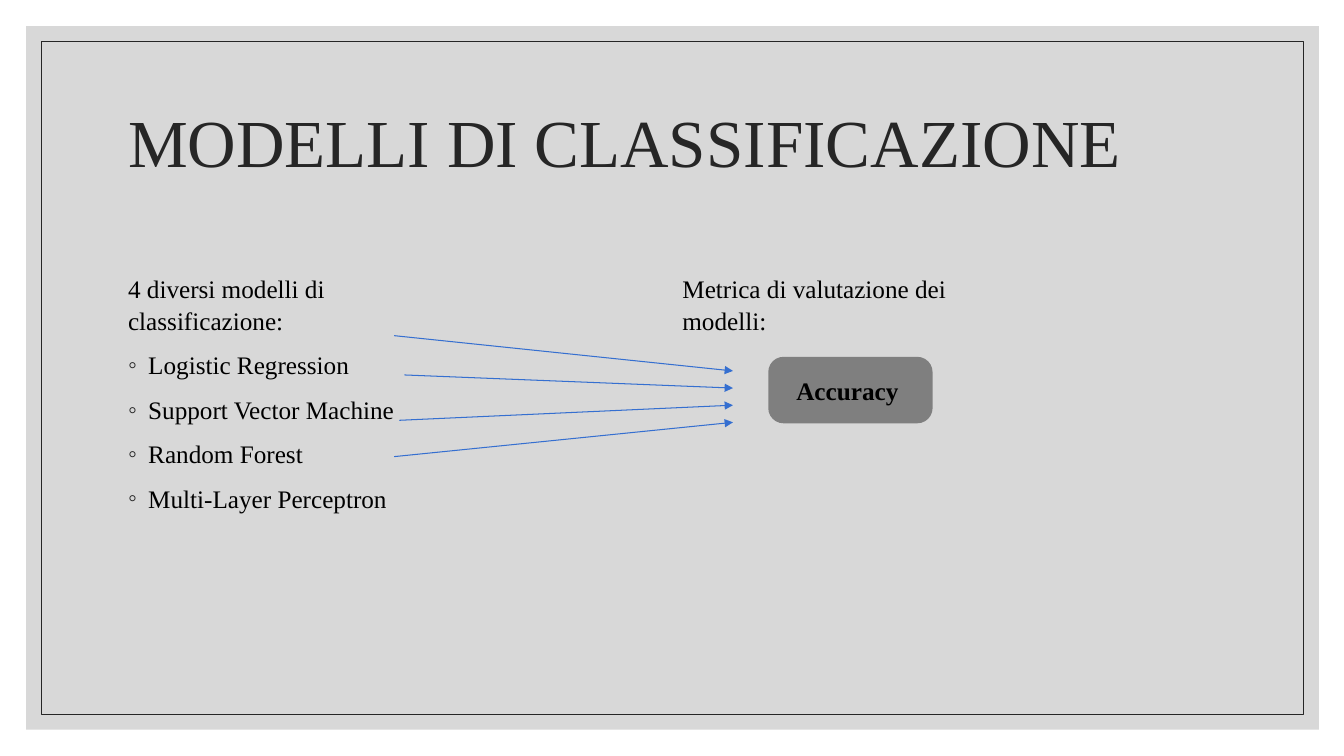
from dataclasses import dataclass

from lxml import etree
from pptx import Presentation
from pptx import util as u
from pptx.dml import color
from pptx.enum import shapes, text
from pptx.oxml import ns

PX = u.Inches(1) // 100


@dataclass(frozen=True)
class Theme:
    """Colours, font and type sizes of the slide."""
    font: str = "Times New Roman"
    title_size: int = 48
    body_size: int = 18
    panel: str = "BFBFBF"
    dark: str = "262626"
    ink: str = "000000"
    badge: str = "7F7F7F"
    arrow: str = "356FD0"


THEME = Theme()


def rgb(value):
    """Turn a hex string into a colour."""
    return color.RGBColor.from_string(value)


def add_node(parent, tag, **attributes):
    """Append a drawing element with the given attributes."""
    return etree.SubElement(parent, ns.qn(tag), attributes)


def place(shape, box):
    """Move a shape to a box given in px."""
    shape.left, shape.top, shape.width, shape.height = (v * PX for v in box)


def write(shape, lines, size=THEME.body_size, ink=THEME.ink, bold=False,
          spacing=1.0, anchor=text.MSO_ANCHOR.TOP):
    """Fill a shape with formatted paragraphs and return them."""
    frame = shape.text_frame
    frame.text = "\n".join(lines)
    frame.word_wrap = True
    frame.auto_size = text.MSO_AUTO_SIZE.NONE
    frame.vertical_anchor = anchor
    for paragraph in frame.paragraphs:
        paragraph.alignment = text.PP_ALIGN.LEFT
        paragraph.line_spacing = spacing
        paragraph.space_before = u.Pt(0)
        font = paragraph.runs[0].font
        font.name, font.size, font.bold = THEME.font, u.Pt(size), bold
        font.color.rgb = rgb(ink)
    return frame.paragraphs


def set_bullet(paragraph, character=None, indent=0):
    """Give a paragraph a hanging bullet, or none."""
    properties = paragraph._p.get_or_add_pPr()
    properties.set("marL", str(indent * PX))
    properties.set("indent", str(-indent * PX))
    if character is None:
        add_node(properties, "a:buNone")
        return
    add_node(add_node(properties, "a:buClr"), "a:srgbClr", val=THEME.dark)
    add_node(properties, "a:buChar", char=character)


def add_block(slide, kind, box, fill=None, line=None):
    """Add a flat preset shape."""
    shape = slide.shapes.add_shape(kind, *(v * PX for v in box))
    shape.shadow.inherit = False
    if fill:
        shape.fill.solid()
        shape.fill.fore_color.rgb = rgb(fill)
    else:
        shape.fill.background()
    if line:
        shape.line.color.rgb = rgb(line)
        shape.line.width = u.Pt(0.75)
    else:
        shape.line.fill.background()
    return shape


def add_backdrop(slide, box, inset):
    """Place the translucent panel and its inner frame behind everything."""
    left, top, width, height = box
    inner = (left + inset, top + inset, width - 2 * inset, height - 2 * inset)
    rectangle = shapes.MSO_SHAPE.RECTANGLE
    frame = add_block(slide, rectangle, inner, line=THEME.dark)
    panel = add_block(slide, rectangle, box, fill=THEME.panel)
    tint = panel.element.find(".//" + ns.qn("a:srgbClr"))
    add_node(tint, "a:alpha", val="60000")
    for shape in (frame, panel):
        shape.element.getparent().insert(2, shape.element)


def add_title(slide, box, title):
    """Fill the title placeholder."""
    place(slide.shapes.title, box)
    write(slide.shapes.title, [title], size=THEME.title_size, ink=THEME.dark,
          spacing=0.9, anchor=text.MSO_ANCHOR.MIDDLE)


def add_models(slide, box, heading, models):
    """Fill the body placeholder with a heading and a bulleted list."""
    body = slide.placeholders[1]
    place(body, box)
    first, *items = write(body, [heading, *models], spacing=1.05)
    set_bullet(first)
    for paragraph in items:
        paragraph.space_before = u.Pt(9)
        set_bullet(paragraph, "◦", 20)


def add_label(slide, box, label, **style):
    """Add a text box."""
    write(slide.shapes.add_textbox(*(v * PX for v in box)), [label], **style)


def add_metric(slide, box, heading, metric):
    """Add the metric heading with its badge below."""
    left, top = box[:2]
    add_label(slide, box, heading, spacing=1.05)
    badge = add_block(slide, shapes.MSO_SHAPE.ROUNDED_RECTANGLE,
                      (left + 95, top + 89, 163, 66), fill=THEME.badge)
    badge.adjustments[0] = 0.23
    add_label(slide, (left + 113, top + 102, 127, 40), metric, bold=True)


def add_arrow(slide, start, end):
    """Add a thin line with an arrowhead at its end."""
    arrow = slide.shapes.add_connector(
        shapes.MSO_CONNECTOR.STRAIGHT, *(v * PX for v in (*start, *end)))
    arrow.line.color.rgb = rgb(THEME.arrow)
    arrow.line.width = u.Pt(0.75)
    add_node(arrow.line._get_or_add_ln(), "a:tailEnd", type="triangle")
    add_node(arrow.element.spPr, "a:effectLst")


def add_arrows(slide, box, starts, gap):
    """Lead arrows from offsets at the left to even steps at the right."""
    left, top, width, _ = box
    for index, (x, y) in enumerate(starts):
        add_arrow(slide, (left + x, top + y),
                  (left + width, top + 35 + index * gap))


def build_slide(presentation):
    """Build the classification models slide."""
    slide = presentation.slides.add_slide(presentation.slide_layouts[1])
    add_backdrop(slide, (26, 26, 1282, 698), 15)
    add_title(slide, (117, 70, 1100, 150), "MODELLI DI CLASSIFICAZIONE")
    add_models(slide, (117, 265, 354, 219),
               "4 diversi modelli di classificazione:",
               ["Logistic Regression", "Support Vector Machine",
                "Random Forest", "Multi-Layer Perceptron"])
    add_metric(slide, (667, 265, 354, 219),
               "Metrica di valutazione dei modelli:", "Accuracy")
    add_arrows(slide, (391, 333, 336, 120),
               [(0, 0), (10, 39), (5, 84), (0, 120)], 17)


def main():
    """Create and save the presentation."""
    presentation = Presentation()
    presentation.slide_width = 1333 * PX
    presentation.slide_height = 750 * PX
    build_slide(presentation)
    presentation.save("out.pptx")


if __name__ == "__main__":
    main()
